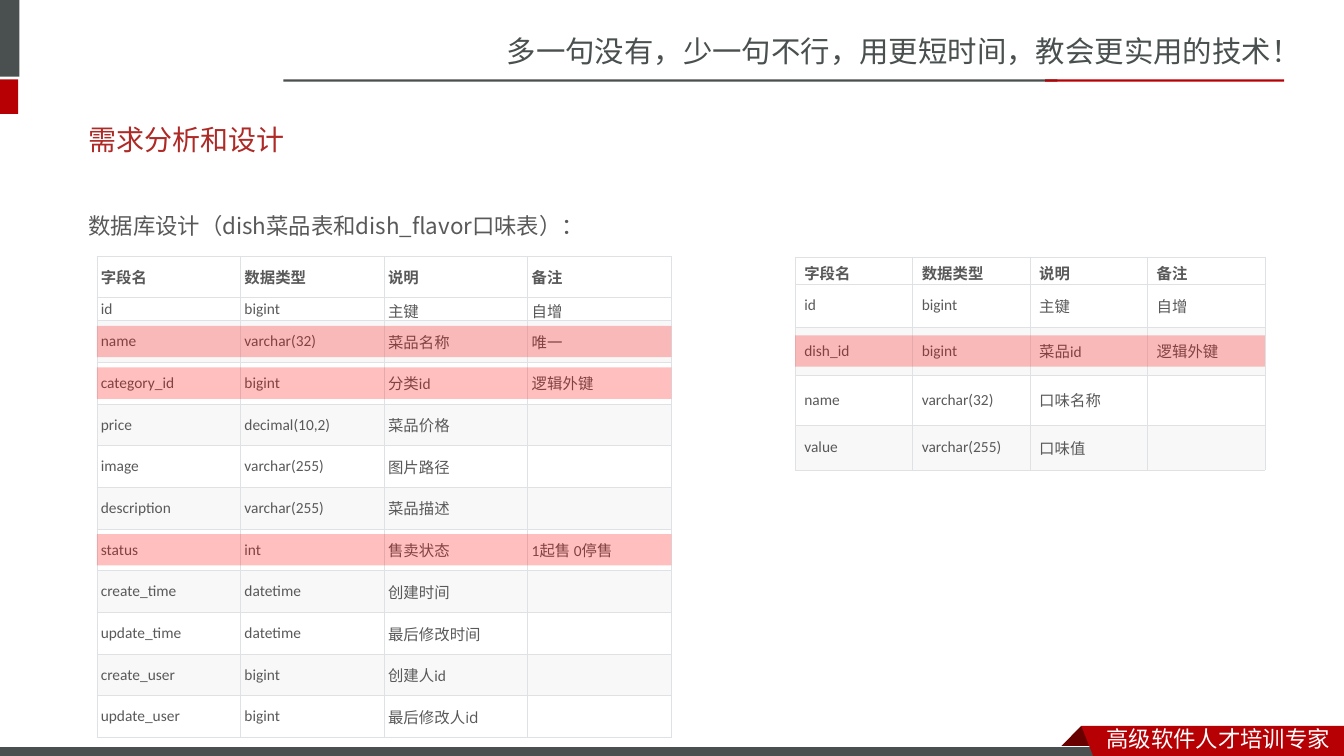
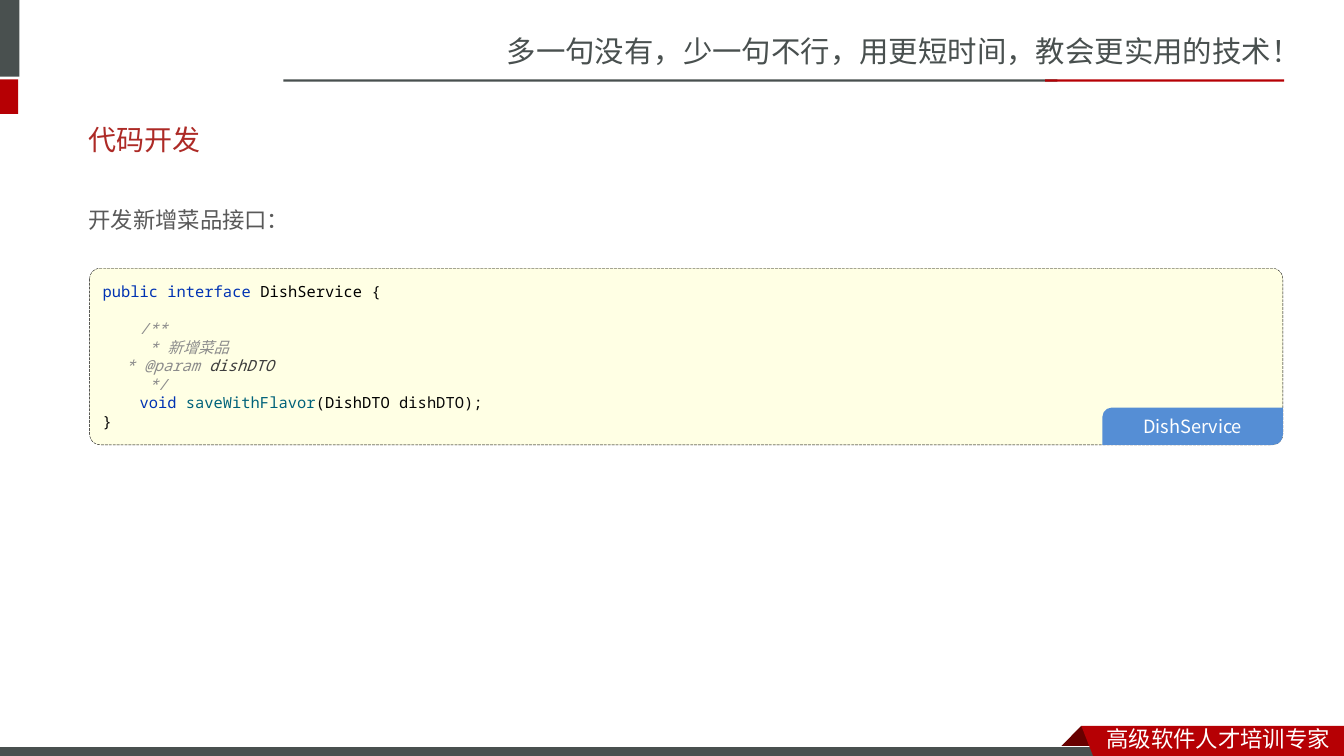
from pptx import Presentation
from pptx.dml.color import RGBColor
from pptx.enum.dml import MSO_LINE
from pptx.enum.shapes import MSO_SHAPE
from pptx.enum.text import MSO_ANCHOR, PP_ALIGN
from pptx.oxml import parse_xml
from pptx.oxml.ns import nsdecls, qn
from pptx.oxml.xmlchemy import OxmlElement
from pptx.util import Cm, Pt

GREY, RED, DARK_RED, WHITE = "49504F", "B60004", "680000", "FFFFFF"
TITLE_RED, BODY, BAND, BORDER = "AD2A26", "595959", "F8F8F8", "DFE2E5"
HIGHLIGHT, CODE_FILL, TAG_BLUE = "FF0000", "FFFFE4", "558ED5"
SANS_SC, SANS_JP, MONO = "Noto Sans CJK SC", "Noto Sans CJK JP", "Noto Sans Mono"
LATIN, OPEN = "Calibri", "Open Sans"

# Shared frame; every place is left, top, width, height in centimetres
SLOGAN = "多一句没有，少一句不行，用更短时间，教会更实用的技术！"
RIBBON_TEXT = "高级软件人才培训专家"
BARS = [
    ((-0.15, 0, 0.64, 1.93), GREY),
    ((-0.15, 2, 0.61, 0.87), RED),
    ((7.14, 2, 19.51, 0.06), GREY),
    ((26.34, 2, 6.02, 0.06), RED),
]
FOLD = [(27.25, 18.29), (27.81, 18.85), (27.79, 18.87), (26.72, 18.87), (26.7, 18.85)]
RIBBON = [(27.25, 18.29), (33.87, 18.29), (33.87, 19.15), (27.58, 19.13)]

HEADINGS = ("字段名", "数据类型", "说明", "备注")
TABLES = [
    {
        "left": 2.44, "top": 6.45, "column": 3.62, "margins": (0.1, 0.05),
        "heights": [1.05, 0.58] + [1.05] * 10,
        "highlighted": ("name", "category_id", "status"),
        "open_sans": "最后修改人id",
        "rows": [
            HEADINGS,
            ("id", "bigint", "主键", "自增"),
            ("name", "varchar(32)", "菜品名称", "唯一"),
            ("category_id", "bigint", "分类id", "逻辑外键"),
            ("price", "decimal(10,2)", "菜品价格", ""),
            ("image", "varchar(255)", "图片路径", ""),
            ("description", "varchar(255)", "菜品描述", ""),
            ("status", "int", "售卖状态", "1起售 0停售"),
            ("create_time", "datetime", "创建时间", ""),
            ("update_time", "datetime", "最后修改时间", ""),
            ("create_user", "bigint", "创建人id", ""),
            ("update_user", "bigint", "最后修改人id", ""),
        ],
    },
    {
        "left": 20.04, "top": 6.48, "column": 2.96, "margins": (0.23, 0.1),
        "heights": [0.68, 1.08, 1.21, 1.26, 1.13],
        "highlighted": ("dish_id",),
        "open_sans": "口味值",
        "rows": [
            HEADINGS,
            ("id", "bigint", "主键", "自增"),
            ("dish_id", "bigint", "菜品id", "逻辑外键"),
            ("name", "varchar(32)", "口味名称", ""),
            ("value", "varchar(255)", "口味值", ""),
        ],
    },
]
HIGHLIGHT_HEIGHT = 0.79

KEYWORD, NAME, PLAIN = "0033B3", "000000", "080808"
COMMENT, PARAMETER, METHOD = "8C8C8C", "3D3D3D", "00627A"
# Indent in characters, blank lines before, runs
CODE = [
    (0, 0, [("public interface ", KEYWORD), ("DishService ", NAME), ("{", PLAIN)]),
    (4, 1, [("/**", COMMENT)]),
    (5, 0, [("* ", COMMENT), ("新增菜品", COMMENT)]),
    (2.5, 0, [("* @param ", COMMENT), ("dishDTO", PARAMETER)]),
    (5, 0, [("*/", COMMENT)]),
    (4, 0, [("void ", KEYWORD), ("saveWithFlavor", METHOD), ("(", PLAIN),
            ("DishDTO ", NAME), ("dishDTO);", PLAIN)]),
    (0, 0, [("}", PLAIN)]),
]
CODE_PLACE = (2.26, 6.76, 30.07, 4.45)
CODE_LINE, CODE_CHARACTER = Pt(13.2), Pt(6.6)
TAG_SIZE = (4.55, 0.94)


def rgb(value):
    return RGBColor.from_string(value)


def add_run(para, text, size, font, color, bold=False, italic=False):
    span = para.add_run()
    span.text = text
    span.font.size = Pt(size)
    span.font.name = font
    span.font.bold = bold
    span.font.italic = italic
    span.font.color.rgb = rgb(color)
    if "CJK" in font:
        east_asian = OxmlElement("a:ea")
        east_asian.set("typeface", font)
        span.font._element.append(east_asian)


def add_text(page, place, text, size, font, color, spacing=None, anchor=MSO_ANCHOR.TOP):
    box = page.shapes.add_textbox(*map(Cm, place))
    box.text_frame.word_wrap = True
    box.text_frame.vertical_anchor = anchor
    para = box.text_frame.paragraphs[0]
    if spacing:
        para.line_spacing = spacing
    add_run(para, text, size, font, color)
    return box


def paint(shape, color):
    shape.shadow.inherit = False
    shape.fill.solid()
    shape.fill.fore_color.rgb = rgb(color)
    shape.line.fill.background()
    return shape


def add_box(page, place, color, kind=MSO_SHAPE.RECTANGLE):
    return paint(page.shapes.add_shape(kind, *map(Cm, place)), color)


def add_outline(page, points, color):
    start, *others = [(Cm(x), Cm(y)) for x, y in points]
    builder = page.shapes.build_freeform(*start)
    builder.add_line_segments(others, close=True)
    return paint(builder.convert_to_shape(), color)


def add_frame(page, layout):
    """Draw the shared parts and move them into the layout."""
    parts = [add_text(page, (12.52, 0.71, 21.36, 1.19), SLOGAN, 21, SANS_SC, GREY)]
    parts += [add_box(page, place, color) for place, color in BARS]
    parts.append(add_outline(page, FOLD, DARK_RED))
    bottom = add_box(page, (-0.03, 18.82, 27.94, 0.3), GREY)
    bottom.line.color.rgb = rgb(WHITE)
    bottom.line.width = Pt(0.75)
    parts.append(bottom)
    parts.append(add_outline(page, RIBBON, RED))
    parts.append(add_text(page, (27.64, 18.16, 6.22, 0.94), RIBBON_TEXT, 16, SANS_SC, WHITE))
    for part in parts:
        layout.shapes.element.append(part.element)


def add_title(page, text):
    add_text(page, (1.98, 2.79, 29.72, 1.45), text, 20, LATIN, TITLE_RED,
             anchor=MSO_ANCHOR.MIDDLE)


def add_borders(cell):
    properties = cell._tc.get_or_add_tcPr()
    for side in ("lnL", "lnR", "lnT", "lnB"):
        properties.append(parse_xml(
            f'<a:{side} {nsdecls("a")} w="{Pt(0.5)}"><a:solidFill>'
            f'<a:srgbClr val="{BORDER}"/></a:solidFill></a:{side}>'))


def fill_cell(cell, text, row, data):
    across, down = map(Cm, data["margins"])
    cell.margin_left = cell.margin_right = across
    cell.margin_top = cell.margin_bottom = down
    cell.vertical_anchor = MSO_ANCHOR.MIDDLE
    add_borders(cell)
    if row and row % 2 == 0:
        cell.fill.solid()
        cell.fill.fore_color.rgb = rgb(BAND)
    else:
        cell.fill.background()
    if text:
        font = OPEN if text == data["open_sans"] else LATIN
        add_run(cell.text_frame.paragraphs[0], text, 11, font, BODY, bold=row == 0)


def add_field_table(page, data):
    rows, heights = data["rows"], data["heights"]
    width = data["column"] * len(HEADINGS)
    place = (data["left"], data["top"], width, sum(heights))
    table = page.shapes.add_table(len(rows), len(HEADINGS), *map(Cm, place)).table
    table.first_row = table.horz_banding = False
    for column in table.columns:
        column.width = Cm(data["column"])
    for row, (texts, height) in enumerate(zip(rows, heights)):
        table.rows[row].height = Cm(height)
        for column, text in enumerate(texts):
            fill_cell(table.cell(row, column), text, row, data)


def add_highlights(page, data):
    """Lay a translucent strip over the middle of each highlighted row."""
    top = data["top"]
    width = data["column"] * len(HEADINGS)
    for texts, height in zip(data["rows"], data["heights"]):
        if texts[0] in data["highlighted"]:
            strip_top = top + (height - HIGHLIGHT_HEIGHT) / 2
            strip = add_box(page, (data["left"], strip_top, width, HIGHLIGHT_HEIGHT), HIGHLIGHT)
            alpha = OxmlElement("a:alpha")
            alpha.set("val", "25000")
            strip.element.spPr.find(qn("a:solidFill")).find(qn("a:srgbClr")).append(alpha)
        top += height


def add_code(page):
    box = add_box(page, CODE_PLACE, CODE_FILL, MSO_SHAPE.ROUNDED_RECTANGLE)
    box.adjustments[0] = 0.06
    box.line.color.rgb = rgb(NAME)
    box.line.width = Pt(0.25)
    box.line.dash_style = MSO_LINE.LONG_DASH
    frame = box.text_frame
    frame.word_wrap = True
    frame.vertical_anchor = MSO_ANCHOR.MIDDLE
    for number, (indent, blank_lines, runs) in enumerate(CODE):
        para = frame.add_paragraph() if number else frame.paragraphs[0]
        para.alignment = PP_ALIGN.LEFT
        para.line_spacing = CODE_LINE
        para.space_before = CODE_LINE * blank_lines
        para._p.get_or_add_pPr().set("marL", str(int(CODE_CHARACTER * indent)))
        for text, color in runs:
            font = MONO if text.isascii() else SANS_SC
            add_run(para, text, 11, font, color, italic=color in (COMMENT, PARAMETER))


def add_code_tag(page, text):
    """Put a label in the lower right corner of the code box."""
    left, top, width, height = CODE_PLACE
    tag_width, tag_height = TAG_SIZE
    place = (left + width - tag_width, top + height - tag_height, tag_width, tag_height)
    tag = add_box(page, place, TAG_BLUE, MSO_SHAPE.ROUND_2_DIAG_RECTANGLE)
    tag.adjustments[0] = 0.26
    tag.adjustments[1] = 0
    frame = tag.text_frame
    frame.margin_left = frame.margin_right = frame.margin_top = frame.margin_bottom = 0
    frame.vertical_anchor = MSO_ANCHOR.MIDDLE
    frame.paragraphs[0].alignment = PP_ALIGN.CENTER
    add_run(frame.paragraphs[0], text, 13, SANS_JP, WHITE)


def main():
    deck = Presentation()
    deck.slide_width, deck.slide_height = Cm(33.87), Cm(19.05)
    blank = deck.slide_layouts[6]

    design = deck.slides.add_slide(blank)
    add_frame(design, blank)
    add_title(design, "需求分析和设计")
    add_text(design, (1.98, 4.55, 29.44, 2.54),
             "数据库设计（dish菜品表和dish_flavor口味表）：", 16, SANS_JP, BODY, spacing=2.0)
    for data in TABLES:
        add_field_table(design, data)
    for data in TABLES:
        add_highlights(design, data)

    development = deck.slides.add_slide(blank)
    add_title(development, "代码开发")
    add_text(development, (1.98, 4.72, 28.93, 1.17), "开发新增菜品接口：",
             16, SANS_JP, BODY, spacing=1.5)
    add_code(development)
    add_code_tag(development, "DishService")

    deck.save("out.pptx")


if __name__ == "__main__":
    main()
